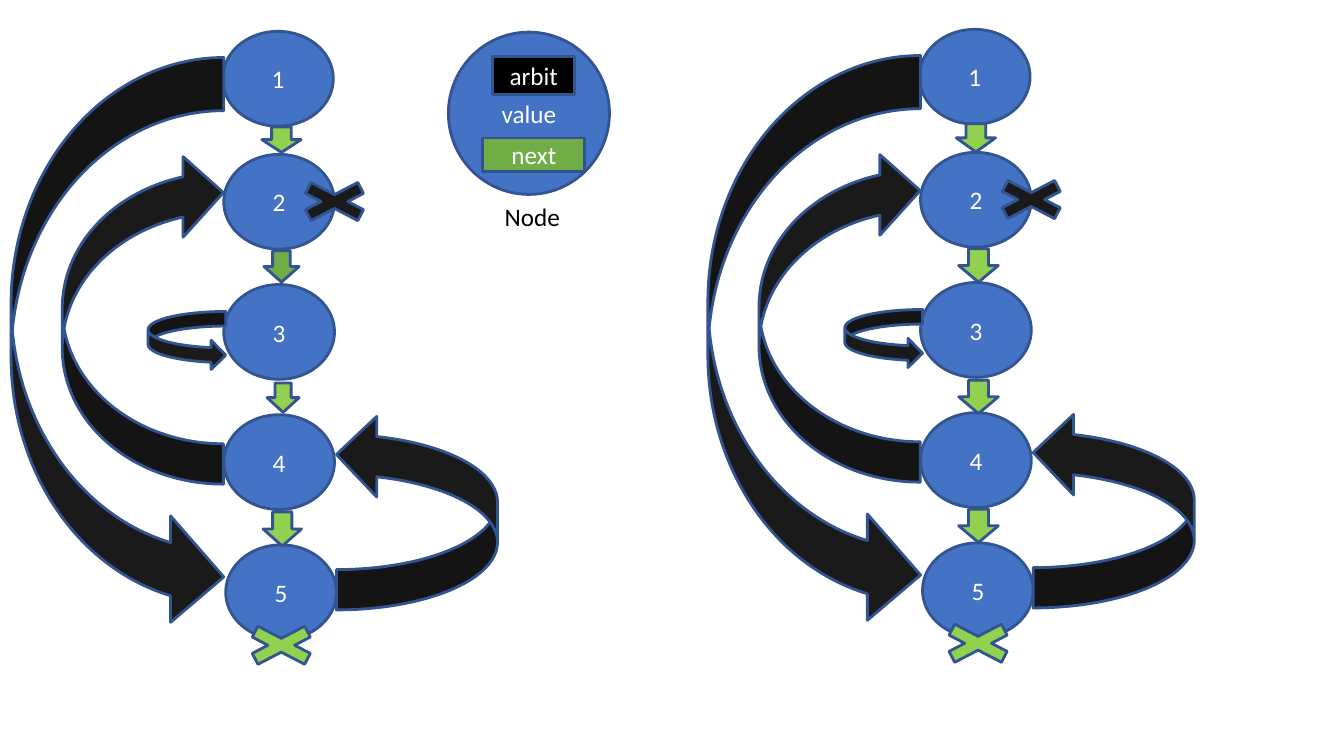
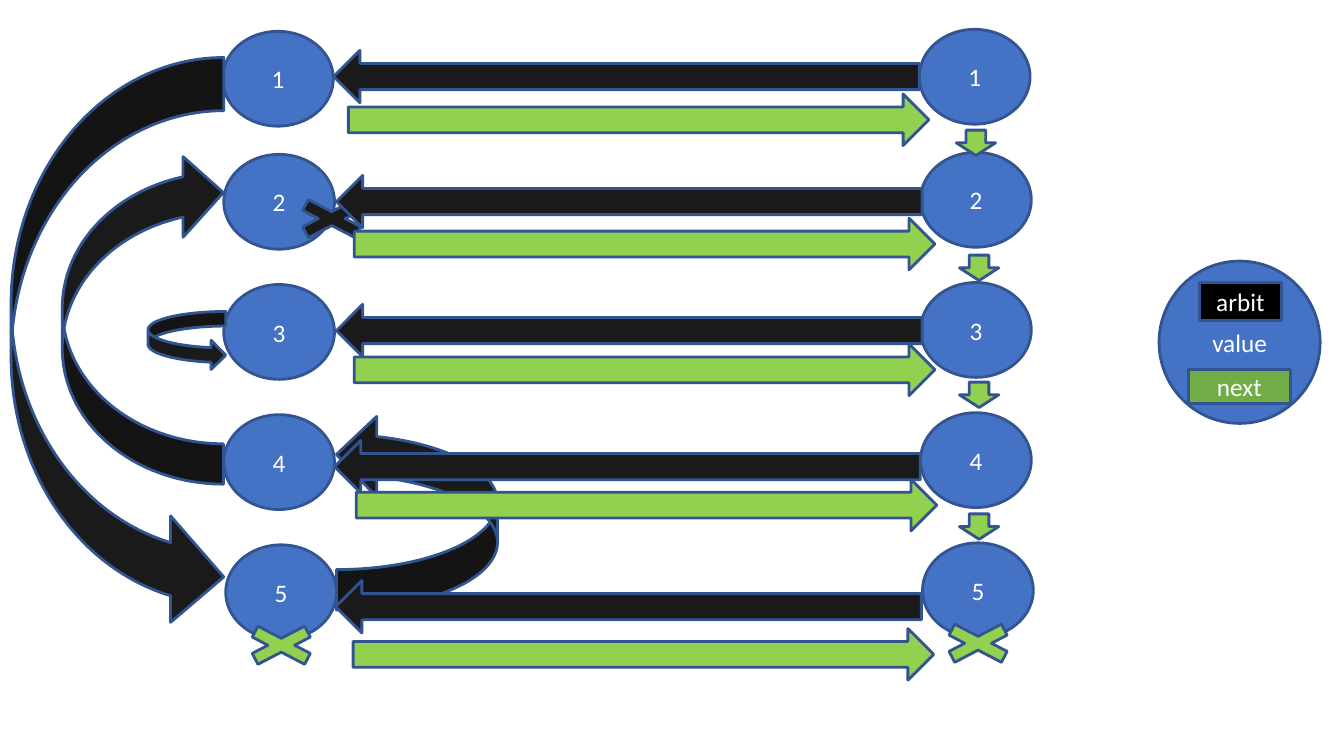
from pptx import Presentation
from pptx.dml.color import RGBColor as Rgb
from pptx.enum.shapes import MSO_SHAPE as Kind
from pptx.enum.text import MSO_ANCHOR as Anchor, PP_ALIGN as Align
from pptx.util import Cm, Pt

HUE = {
    "node": "4472C4", "edge": "325491", "arbit": "1A1A1A", "next": "92D050",
    "leaf": "70AD47", "black": "000000", "white": "FFFFFF",
}
FONT = "Calibri"

# Layout of the left list, in cm; the right list is shifted by SHIFT
SHIFT = (17.56, -0.05)
NODE = (2.79, 2.39)
NODE_X = [5.61, 5.64, 5.64, 5.64, 5.69]
NODE_Y = [0.79] + [3.89 + 3.28 * i for i in range(4)]
LOOPS = [
    ((0.28, 1.45, 5.36, 14.43), ""),
    ((3.73, 7.85, 1.96, 1.47), ""),
    ((8.48, 10.44, 4.06, 4.93), "HV"),
    ((1.57, 3.84, 4.06, 8.36), "V"),
]
CROSS = (2.54, 1.32)
END = (5.82, 15.6)


def write(shape, text, color="white", align=Align.CENTER,
          anchor=Anchor.MIDDLE, size=18):
    frame = shape.text_frame
    frame.word_wrap = True
    frame.vertical_anchor = anchor
    par = frame.paragraphs[0]
    par.alignment = align
    run = par.add_run()
    run.text = text
    run.font.name = FONT
    run.font.size = Pt(size)
    run.font.color.rgb = Rgb.from_string(HUE[color])


def draw(slide, kind, box, fill, text="", flip=""):
    shape = slide.shapes.add_shape(kind, *[Cm(v) for v in box])
    shape.shadow.inherit = False
    shape.fill.solid()
    shape.fill.fore_color.rgb = Rgb.from_string(HUE[fill])
    shape.line.color.rgb = Rgb.from_string(HUE["edge"])
    shape.line.width = Pt(2)
    for axis in flip:
        shape.element.spPr.xfrm.set("flip" + axis, "1")
    if text:
        write(shape, text)
    return shape


def move(box, shift):
    return (box[0] + shift[0], box[1] + shift[1], *box[2:])


def nodes(slide, shift=(0, 0)):
    for num, spot in enumerate(zip(NODE_X, NODE_Y), 1):
        draw(slide, Kind.OVAL, move((*spot, *NODE), shift), "node", str(num))


def loops(slide, shift=(0, 0)):
    for box, flip in LOOPS:
        draw(slide, Kind.CURVED_RIGHT_ARROW, move(box, shift), "arbit",
             flip=flip)


def cross(slide, spot, fill, shift=(0, 0)):
    draw(slide, Kind.MATH_MULTIPLY, move((*spot, *CROSS), shift), fill)


def arrows(slide, kind, spots, size, fill):
    for spot in spots:
        draw(slide, kind, (*spot, *size), fill)


def legend(slide, spot, arbit, after):
    draw(slide, Kind.OVAL, (*spot, 4.06, 4.09), "node", "value")
    draw(slide, Kind.RECTANGLE, (*arbit, 2.06, 0.97), "black", "arbit")
    draw(slide, Kind.RECTANGLE, (*after, 2.57, 0.84), "leaf", "next")


def lists(slide):
    """Two separate lists with the same links."""
    # Left list
    nodes(slide)
    loops(slide)
    for box, fill in [
        ((6.6, 3.2, 0.99, 0.64), "next"),
        ((6.63, 12.9, 0.97, 0.86), "next"),
        ((6.73, 9.65, 0.81, 0.74), "next"),
        ((6.65, 6.32, 0.89, 0.79), "leaf"),
    ]:
        draw(slide, Kind.DOWN_ARROW, box, fill)
    cross(slide, (7.16, 4.42), "arbit")
    cross(slide, END, "next")

    # Right list
    nodes(slide, SHIFT)
    loops(slide, SHIFT)
    draw(slide, Kind.DOWN_ARROW, (24.1, 3.12, 0.99, 0.71), "next")
    arrows(slide, Kind.DOWN_ARROW, [(24.16, y) for y in (6.27, 9.58, 12.83)],
           (1, 0.84), "next")
    cross(slide, END, "next", SHIFT)
    cross(slide, (7.16, 4.42), "arbit", SHIFT)

    # Legend
    legend(slide, (11.3, 0.81), (12.42, 1.42), (12.17, 3.48))
    label = slide.shapes.add_textbox(Cm(12.47), Cm(4.95), Cm(2.59), Cm(1.02))
    write(label, "Node", color="black", align=Align.LEFT, anchor=Anchor.TOP)


def links(slide):
    """The two lists joined node by node."""
    # Lists
    nodes(slide)
    loops(slide)
    cross(slide, (7.09, 4.85), "arbit")
    cross(slide, END, "next")
    nodes(slide, SHIFT)
    cross(slide, END, "next", SHIFT)

    # Arrows back, down and across
    arrows(slide, Kind.LEFT_ARROW,
           [(8.41, 1.27), (8.48, 4.42), (8.48, 7.67), (8.43, 11.1),
            (8.46, 14.63)], (14.76, 1.32), "arbit")
    arrows(slide, Kind.DOWN_ARROW,
           [(24.1, 3.28), (24.18, 6.43), (24.18, 9.63), (24.18, 12.95)],
           (0.99, 0.64), "next")
    arrows(slide, Kind.RIGHT_ARROW,
           [(8.78, 2.37), (8.93, 5.5), (8.93, 8.67), (8.98, 12.08),
            (8.9, 15.84)], (14.63, 1.3), "next")

    # Legend
    legend(slide, (29.21, 6.58), (30.23, 7.11), (29.95, 9.32))


def main():
    deck = Presentation()
    deck.slide_width = Cm(33.87)
    deck.slide_height = Cm(19.05)
    for build in (lists, links):
        build(deck.slides.add_slide(deck.slide_layouts[6]))
    deck.save("out.pptx")


main()
